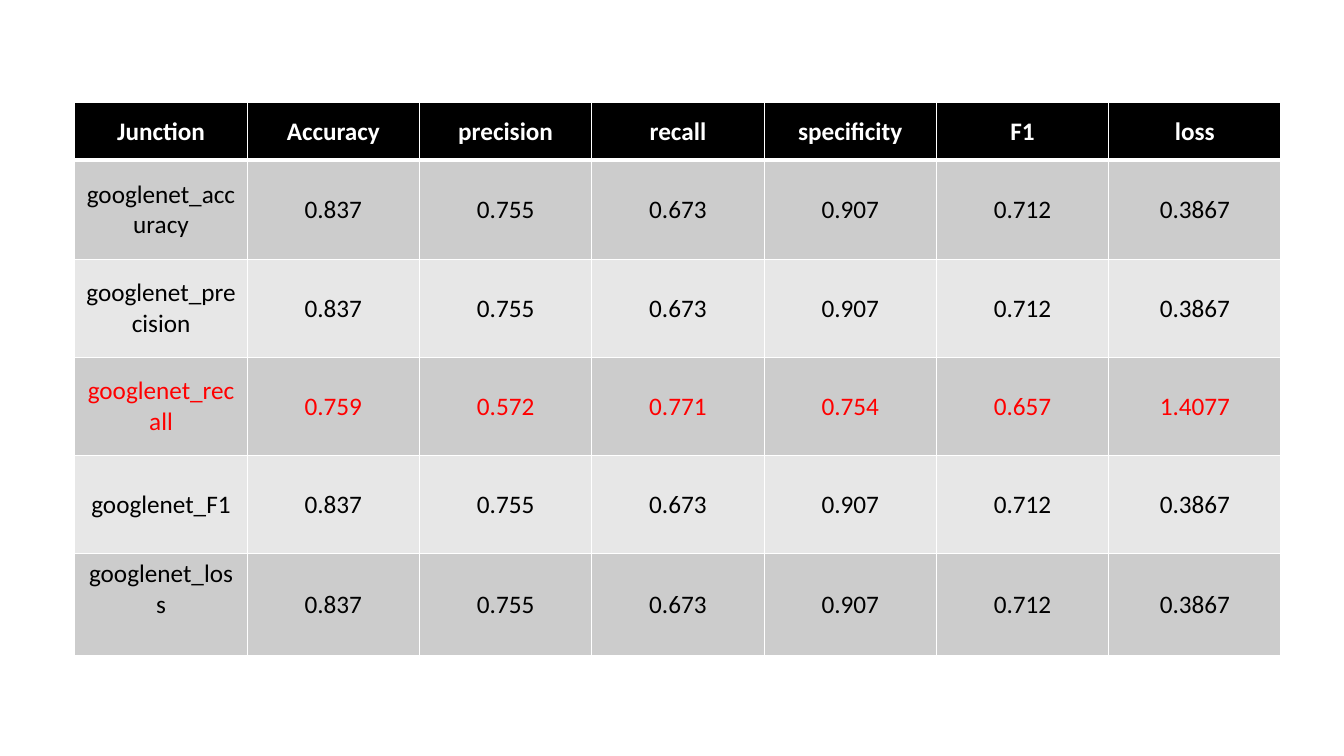
from dataclasses import dataclass

from lxml import etree
from pptx import Presentation
from pptx import util as u
from pptx.dml import color
from pptx.enum import text
from pptx.oxml import ns
from pptx.table import _Cell

METRICS = ("Accuracy", "precision", "recall", "specificity", "F1", "loss")
BEST_SCORES = ("0.837", "0.755", "0.673", "0.907", "0.712", "0.3867")
RECALL_SCORES = ("0.759", "0.572", "0.771", "0.754", "0.657", "1.4077")
BLACK, WHITE, RED = "000000", "FFFFFF", "FF0000"
DARK_BAND, LIGHT_BAND = "CCCCCC", "E7E7E7"
COLUMN_WIDTH = 123.1


@dataclass(frozen=True)
class ResultRow:
    junction: str
    scores: tuple[str, ...]
    height: float
    fill: str
    ink: str = BLACK
    bold: bool = False
    top_rule: float = 1
    bottom_rule: float = 1
    label_bottom: float = 3.6


RESULTS = (
    ResultRow("Junction", METRICS, 41, BLACK, WHITE, bold=True, bottom_rule=3),
    ResultRow("googlenet_accuracy", BEST_SCORES, 71, DARK_BAND, top_rule=3),
    ResultRow("googlenet_precision", BEST_SCORES, 70, LIGHT_BAND),
    ResultRow("googlenet_recall", RECALL_SCORES, 70, DARK_BAND, RED),
    ResultRow("googlenet_F1", BEST_SCORES, 70, LIGHT_BAND),
    ResultRow("googlenet_loss", BEST_SCORES, 72, DARK_BAND, label_bottom=25.6),
)


def rgb(value: str) -> color.RGBColor:
    return color.RGBColor.from_string(value)


def rule_cell(cell: _Cell, top: float, bottom: float) -> None:
    properties = cell._tc.get_or_add_tcPr()
    for side, width in (("L", 1), ("R", 1), ("T", top), ("B", bottom)):
        rule = etree.SubElement(properties, ns.qn(f"a:ln{side}"), w=str(u.Pt(width)))
        paint = etree.SubElement(rule, ns.qn("a:solidFill"))
        etree.SubElement(paint, ns.qn("a:srgbClr"), val=WHITE)


def fill_cell(cell: _Cell, wording: str, row: ResultRow) -> None:
    rule_cell(cell, row.top_rule, row.bottom_rule)
    cell.fill.solid()
    cell.fill.fore_color.rgb = rgb(row.fill)
    cell.vertical_anchor = text.MSO_ANCHOR.MIDDLE
    paragraph = cell.text_frame.paragraphs[0]
    paragraph.alignment = text.PP_ALIGN.CENTER
    run = paragraph.add_run()
    run.text = wording
    run.font.name = "Calibri"
    run.font.size = u.Pt(18)
    run.font.bold = row.bold
    run.font.color.rgb = rgb(row.ink)


def main() -> None:
    deck = Presentation()
    deck.slide_width, deck.slide_height = u.Pt(960), u.Pt(540)
    slide = deck.slides.add_slide(deck.slide_layouts[6])
    column_count = len(METRICS) + 1
    scoreboard = slide.shapes.add_table(
        len(RESULTS), column_count, u.Pt(53.5), u.Pt(73.5),
        u.Pt(COLUMN_WIDTH * column_count), u.Pt(sum(row.height for row in RESULTS)),
    ).table
    for column in scoreboard.columns:
        column.width = u.Pt(COLUMN_WIDTH)
    for index, row in enumerate(RESULTS):
        scoreboard.rows[index].height = u.Pt(row.height)
        for position, wording in enumerate((row.junction, *row.scores)):
            fill_cell(scoreboard.cell(index, position), wording, row)
        scoreboard.cell(index, 0).margin_bottom = u.Pt(row.label_bottom)
    deck.save("out.pptx")


if __name__ == "__main__":
    main()
